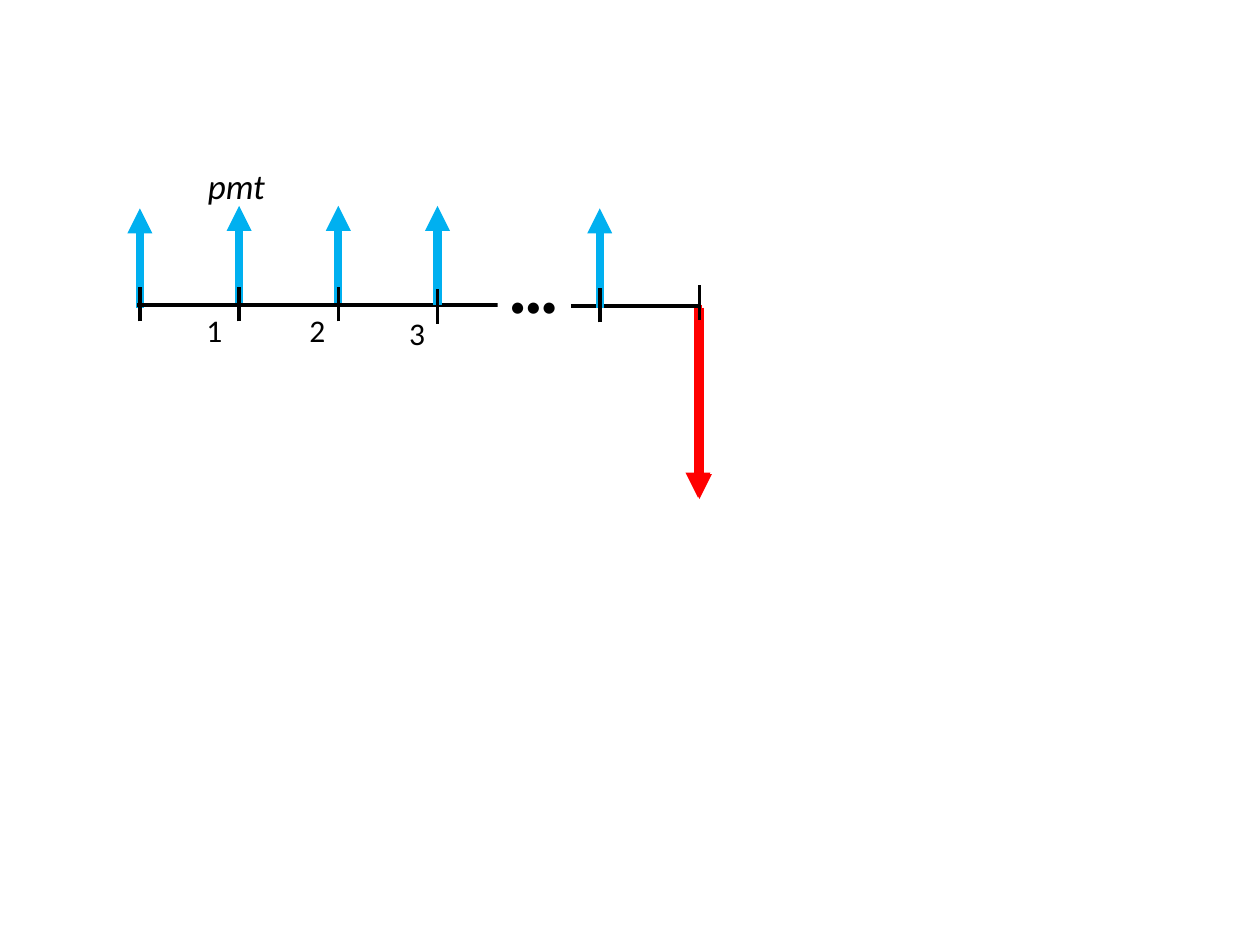
from lxml.etree import SubElement
from pptx import Presentation
from pptx.dml.color import RGBColor
from pptx.enum.shapes import MSO_CONNECTOR, MSO_SHAPE
from pptx.enum.text import MSO_AUTO_SIZE, PP_ALIGN
from pptx.oxml.ns import qn
from pptx.util import Cm, Pt

BLACK, WHITE, BLUE, RED = "000000", "FFFFFF", "00B0F0", "FF0000"
AXIS_Y = 6.15
START_X, PERIOD = 2.82, 2.0
PAYMENT_LENGTH, TICK_LENGTH = 2.0, 0.7


def color(value):
    return RGBColor.from_string(value)


class CashFlowDiagram:
    """Draws timeline elements in one style on the current slide."""

    font_name = "Calibri"

    def __init__(self, slide):
        self.slide = slide

    def line(self, start, end, line_color=BLACK, width=2.25):
        connector = self.slide.shapes.add_connector(
            MSO_CONNECTOR.STRAIGHT, *(Cm(value) for value in (*start, *end))
        )
        connector.line.color.rgb = color(line_color)
        connector.line.width = Pt(width)
        SubElement(connector._element.spPr, qn("a:effectLst"))
        return connector

    def arrow(self, x, base, length, line_color):
        connector = self.line((x, base), (x, base + length), line_color, 4.75)
        outline = connector._element.spPr.find(qn("a:ln"))
        SubElement(outline, qn("a:tailEnd"), type="triangle")

    def payment(self, x, base=AXIS_Y):
        self.arrow(x, base, -PAYMENT_LENGTH, BLUE)

    def tick(self, x, bottom):
        self.line((x, bottom), (x, bottom - TICK_LENGTH), width=2)

    def add_text(self, shape, text, size, italic=None):
        frame = shape.text_frame
        frame.word_wrap = False
        frame.auto_size = MSO_AUTO_SIZE.SHAPE_TO_FIT_TEXT
        paragraph = frame.paragraphs[0]
        paragraph.alignment = PP_ALIGN.LEFT
        run = paragraph.add_run()
        run.text = text
        run.font.name = self.font_name
        run.font.size = Pt(size)
        run.font.italic = italic
        run.font.color.rgb = color(BLACK)

    def label(self, text, left, top, width=0.84, height=1.02, size=18, italic=None):
        shape = self.slide.shapes.add_textbox(Cm(left), Cm(top), Cm(width), Cm(height))
        self.add_text(shape, text, size, italic)

    def ellipsis(self, left, top, width, height):
        shape = self.slide.shapes.add_shape(
            MSO_SHAPE.RECTANGLE, Cm(left), Cm(top), Cm(width), Cm(height)
        )
        shape.shadow.inherit = False
        shape.fill.solid()
        shape.fill.fore_color.rgb = color(WHITE)
        shape.line.fill.background()
        self.add_text(shape, "•••", 18)


def main():
    presentation = Presentation()
    presentation.slide_width, presentation.slide_height = Cm(25.4), Cm(19.05)
    slide = presentation.slides.add_slide(presentation.slide_layouts[6])
    diagram = CashFlowDiagram(slide)

    start, first, second, third = (START_X + PERIOD * period for period in range(4))
    last, maturity = 12.09, 14.1

    diagram.arrow(maturity, 6.2, 3.86, RED)
    diagram.payment(start, 6.2)
    diagram.payment(second)
    diagram.payment(first)
    diagram.arrow(14.07, AXIS_Y, 3.88, RED)

    diagram.line((2.77, AXIS_Y), (10.44, AXIS_Y))
    diagram.line((11.51, 6.17), (maturity, 6.17))
    diagram.payment(third)
    diagram.payment(last, 6.2)
    for x, bottom in (
        (start, 6.48), (first, 6.48), (second, 6.48),
        (third, 6.53), (last, 6.5), (maturity, 6.45),
    ):
        diagram.tick(x, bottom)

    for text, left, top in (("1", 3.91, 6.15), ("2", 5.99, 6.15), ("3", 8.0, 6.2)):
        diagram.label(text, left, top)
    diagram.ellipsis(10.03, 5.64, 1.47, 1.02)
    diagram.label("pmt", 3.94, 3.2, 1.68, 1.12, size=20, italic=True)

    presentation.save("out.pptx")


if __name__ == "__main__":
    main()
